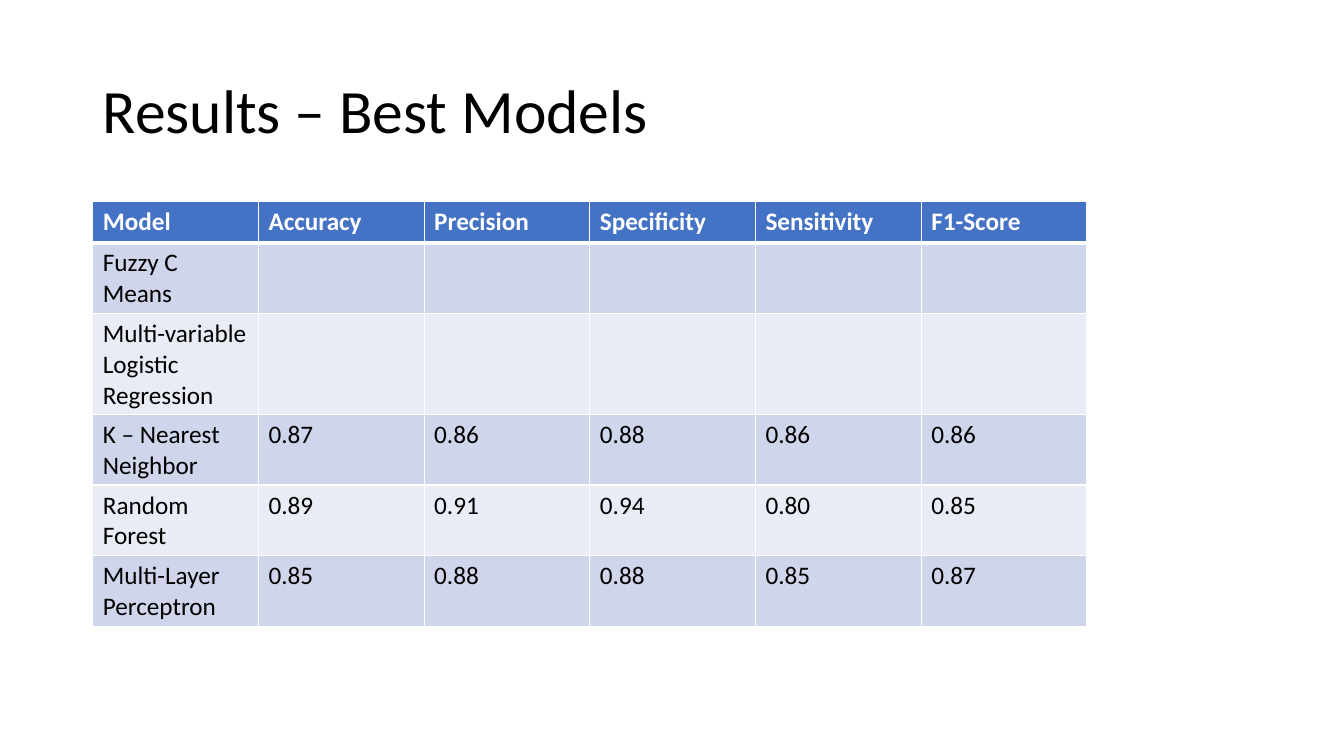
from lxml import etree
from pptx import Presentation
from pptx.dml.color import RGBColor
from pptx.enum.text import MSO_ANCHOR
from pptx.oxml.ns import qn
from pptx.util import Inches, Pt

MIDDLE = MSO_ANCHOR.MIDDLE
FONT = "Calibri"
COLORS = {
    "text": "000000",
    "white": "FFFFFF",
    "header": "4472C4",
    "odd": "CFD5EA",
    "even": "E9EBF5",
}
ROWS = [
    ["Model", "Accuracy", "Precision", "Specificity", "Sensitivity", "F1-Score"],
    ["Fuzzy C Means", "", "", "", "", ""],
    ["Multi-variable Logistic Regression", "", "", "", "", ""],
    ["K – Nearest Neighbor", "0.87", "0.86", "0.88", "0.86", "0.86"],
    ["Random Forest", "0.89", "0.91", "0.94", "0.80", "0.85"],
    ["Multi-Layer Perceptron", "0.85", "0.88", "0.88", "0.85", "0.87"],
]


def set_font(p, size, color, bold=False):
    p.font.name = FONT
    p.font.size = Pt(size)
    p.font.bold = bold
    p.font.color.rgb = RGBColor.from_string(COLORS[color])


def set_borders(cell, widths):
    """Draw white borders; the lines must come before the cell fill."""
    tc_pr = cell._tc.get_or_add_tcPr()
    for i, (side, width) in enumerate(widths.items()):
        ln = etree.Element(qn(f"a:ln{side}"), w=str(Pt(width)))
        fill = etree.SubElement(ln, qn("a:solidFill"))
        etree.SubElement(fill, qn("a:srgbClr"), val=COLORS["white"])
        tc_pr.insert(i, ln)


prs = Presentation()
prs.slide_width, prs.slide_height = Inches(13.33), Inches(7.5)
s = prs.slides.add_slide(prs.slide_layouts[6])

# Title
sp = s.shapes.add_textbox(Inches(0.92), Inches(0.4), Inches(11.5), Inches(1.45))
tf = sp.text_frame
tf.word_wrap = True
tf.vertical_anchor = MIDDLE
p = tf.paragraphs[0]
p.text = "Results – Best Models"
p.line_spacing = 0.9
set_font(p, 44, "text")

# Results table
n_rows, n_cols = len(ROWS), len(ROWS[0])
table = s.shapes.add_table(n_rows, n_cols, Inches(0.92), Inches(2),
                           Inches(9.86), Inches(0.41 * n_rows)).table
for i, row in enumerate(ROWS):
    header = i == 0
    band = "header" if header else "odd" if i % 2 else "even"
    for j, value in enumerate(row):
        cell = table.cell(i, j)
        cell.text = value
        set_font(cell.text_frame.paragraphs[0], 18,
                 "white" if header else "text", bold=header)
        cell.fill.solid()
        cell.fill.fore_color.rgb = RGBColor.from_string(COLORS[band])
        # A thick rule separates the header from the body
        set_borders(cell, {"L": 1, "R": 1, "T": 3 if i == 1 else 1,
                           "B": 3 if header else 1})

prs.save("out.pptx")
